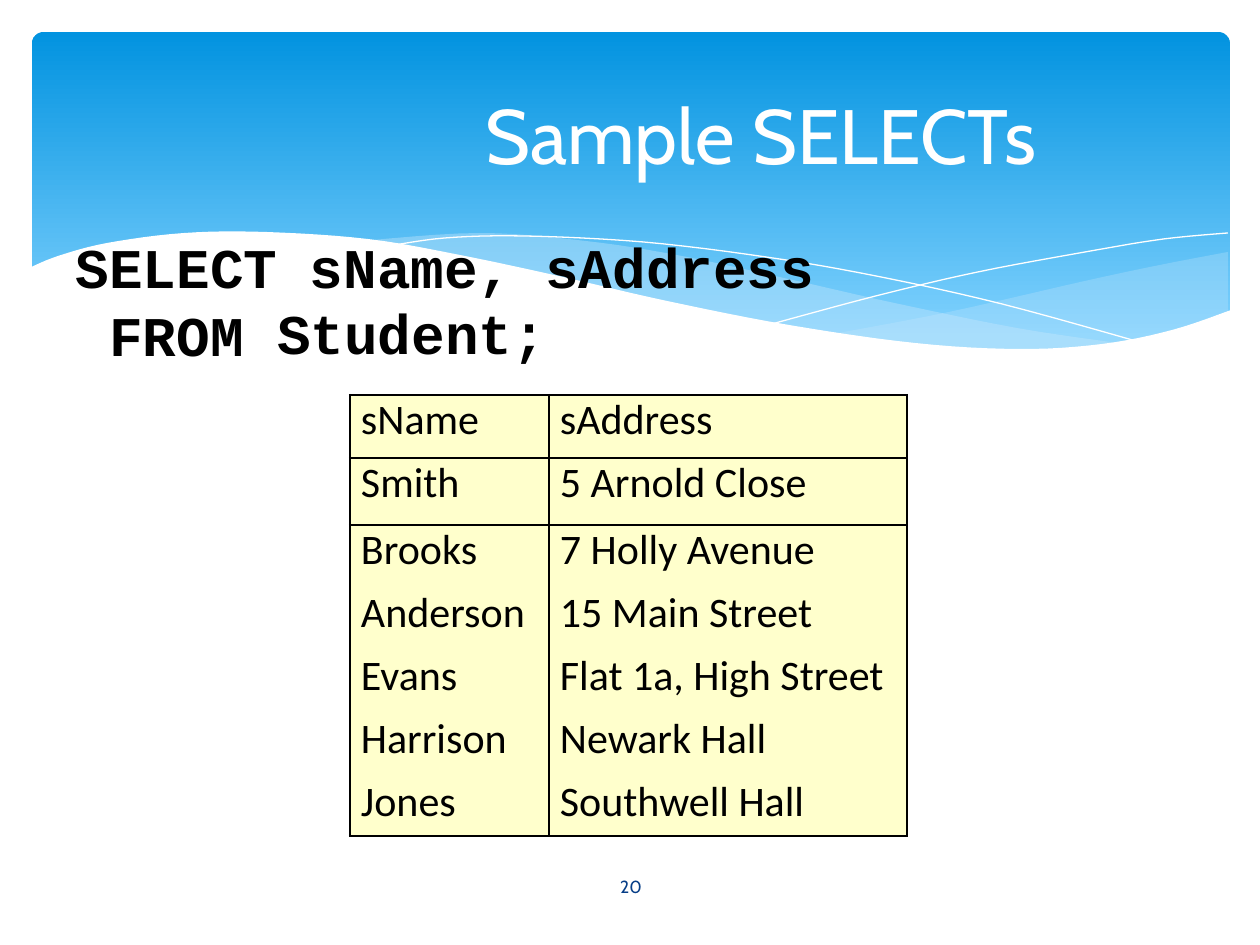
from dataclasses import dataclass

from lxml.etree import SubElement
from pptx import Presentation
from pptx.dml.color import RGBColor
from pptx.enum.shapes import MSO_SHAPE as SHAPE
from pptx.enum.text import MSO_ANCHOR as ANCHOR, PP_ALIGN as ALIGN
from pptx.oxml.ns import qn
from pptx.util import Pt

PX = 914400 / 126


@dataclass(frozen=True)
class Theme:
    sky: str = "0293E0"
    pale_sky: str = "81D2FE"
    mist: str = "C6E7FC"
    white: str = "FFFFFF"
    black: str = "000000"
    cream: str = "FFFFCC"
    navy: str = "073E87"
    display: str = "Cabin"
    body: str = "Calibri"
    code: str = "Courier New"
    title_size: int = 44
    code_size: int = 32
    table_size: int = 24
    number_size: int = 10
    hairline: float = 0.75
    rule: float = 1.5


T = Theme()


def px(*values):
    return [round(v * PX) for v in values]


def rgb(color):
    return RGBColor.from_string(color)


def write(tf, text, font, size, color, bold=False, align=ALIGN.LEFT,
          anchor=ANCHOR.TOP, left=0, top=0):
    """Put text into a frame, one paragraph a line."""
    tf.word_wrap = True
    tf.vertical_anchor = anchor
    tf.margin_left, tf.margin_top, tf.margin_right, tf.margin_bottom = px(left, top, 0, 0)
    for i, line in enumerate(text.split("\n")):
        p = tf.add_paragraph() if i else tf.paragraphs[0]
        p.alignment = align
        r = p.add_run()
        r.text = line
        f = r.font
        f.name, f.size, f.bold = font, Pt(size), bold
        f.color.rgb = rgb(color)


def add_text(s, box, text, **fmt):
    write(s.shapes.add_textbox(*px(*box)).text_frame, text, **fmt)


def curve(points, steps=6):
    """Smooth path through the points (Catmull-Rom)."""
    ends = [points[0], *points, points[-1]]
    path = [points[0]]
    for a, b, c, d in zip(ends, ends[1:], ends[2:], ends[3:]):
        for k in range(1, steps + 1):
            t = k / steps
            path.append(tuple(
                (2 * q + (r - p) * t + (2 * p - 5 * q + 4 * r - u) * t ** 2
                 + (3 * q - p - 3 * r + u) * t ** 3) / 2
                for p, q, r, u in zip(a, b, c, d)))
    return path


def add_path(s, origin, path, fill=None, alpha=None, line=None):
    """Draw an outline whose points are measured from origin."""
    pts = [px(origin[0] + x, origin[1] + y) for x, y in path]
    fb = s.shapes.build_freeform(*pts[0], scale=1.0)
    fb.add_line_segments(pts[1:], close=fill is not None)
    sp = fb.convert_to_shape()
    sp.shadow.inherit = False
    if fill:
        sp.fill.solid()
        sp.fill.fore_color.rgb = rgb(fill)
    else:
        sp.fill.background()
    if alpha:
        clr = sp.fill._xPr.find(qn("a:solidFill"))[0]
        SubElement(clr, qn("a:alpha"), val=str(alpha * 1000))
    if line:
        sp.line.color.rgb = rgb(line)
        sp.line.width = Pt(T.hairline)
    else:
        sp.line.fill.background()


def add_banner(s, box):
    """Gradient panel with waves along its lower edge."""
    sp = s.shapes.add_shape(SHAPE.ROUNDED_RECTANGLE, *px(*box))
    sp.adjustments[0] = 0.034
    sp.shadow.inherit = False
    sp.line.fill.background()
    sp.fill.gradient()
    sp.fill.gradient_angle = 270
    for stop, pos, color in zip(sp.fill.gradient_stops, (0, 0.9), (T.sky, T.pale_sky)):
        stop.position = pos
        stop.color.rgb = rgb(color)

    origin = box[:2]
    # Translucent waves: upper edge, then lower edge
    right_wave = (
        curve([(1196, 220), (1128, 233), (1053, 249), (917, 280), (801, 302)])
        + curve([(801, 302), (890, 313), (980, 318), (1067, 313), (1137, 299), (1196, 279)]))
    middle_wave = (
        curve([(1093, 312), (985, 296), (858, 270), (761, 248), (650, 224),
               (554, 209), (447, 201), (328, 209)])
        + curve([(328, 209), (424, 224), (534, 248), (681, 280), (825, 306),
                 (957, 318), (1093, 312)]))
    add_path(s, origin, right_wave, fill=T.mist, alpha=29)
    add_path(s, origin, middle_wave, fill=T.mist, alpha=40)
    # Fine lines
    falling = [(357, 214), (413, 206), (492, 204), (611, 210), (734, 225),
               (844, 244), (970, 272), (1111, 311)]
    rising = [(740, 292), (844, 264), (946, 240), (1059, 219), (1132, 207), (1196, 201)]
    for points in (falling, rising):
        add_path(s, origin, curve(points), line=T.white)
    # White foreground wave
    crest = [(1199, 278), (1140, 298), (1070, 312), (987, 317), (883, 311), (757, 293),
             (635, 269), (531, 245), (428, 223), (336, 207), (234, 200), (152, 201),
             (75, 211), (26, 224), (-3, 236)]
    add_path(s, origin, curve(crest) + [(-3, 383), (1199, 383)], fill=T.white)


def add_query(s, box):
    """Keywords in one column, operands beside them."""
    x, y, w, h = box
    fmt = dict(font=T.code, size=T.code_size, color=T.black, bold=True, top=12)
    add_text(s, (x + 236, y, w - 236, 73), "sName, sAddress", **fmt)
    add_text(s, (x, y, 205, h), "SELECT\nFROM", align=ALIGN.CENTER, **fmt)
    add_text(s, (x + 203, y + 66, 272, 73), "Student;", **fmt)


def set_border(cell, side, shown):
    tag = qn(f"a:ln{side}")
    ln = SubElement(cell._tc.get_or_add_tcPr(), tag, w=str(Pt(T.rule)))
    if shown:
        SubElement(SubElement(ln, qn("a:solidFill")), qn("a:srgbClr"), val=T.black)
    else:
        SubElement(ln, qn("a:noFill"))


def add_result(s, box, rows, widths, heights):
    """Result table: rules around the first two rows and the whole."""
    tbl = s.shapes.add_table(len(rows), len(widths), *px(*box)).table
    tbl.first_row = tbl.horz_banding = False
    for col, w in zip(tbl.columns, px(*widths)):
        col.width = w
    for row, h in zip(tbl.rows, px(*heights)):
        row.height = h
    last = len(rows) - 1
    for i, values in enumerate(rows):
        for j, value in enumerate(values):
            cell = tbl.cell(i, j)
            shown = {"L": True, "R": True, "T": i <= 2, "B": i <= 1 or i == last}
            for side, on in shown.items():
                set_border(cell, side, on)
            cell.fill.solid()
            cell.fill.fore_color.rgb = rgb(T.cream)
            cell.margin_left, cell.margin_top, cell.margin_right, cell.margin_bottom = px(11, 0, 0, 0)
            p = cell.text_frame.paragraphs[0]
            r = p.add_run()
            r.text = value
            r.font.name, r.font.size = T.body, Pt(T.table_size)
            r.font.color.rgb = rgb(T.black)


prs = Presentation()
prs.slide_width, prs.slide_height = px(1260, 945)
s = prs.slides.add_slide(prs.slide_layouts[6])

add_banner(s, (32, 32, 1198, 340))
add_text(s, (549, 862, 164, 50), "20", font=T.display, size=T.number_size,
         color=T.navy, align=ALIGN.CENTER, anchor=ANCHOR.MIDDLE)
add_text(s, (63, 47, 1134, 173), "Sample SELECTs", font=T.display, size=T.title_size,
         color=T.white, align=ALIGN.CENTER, anchor=ANCHOR.MIDDLE, left=262)
add_query(s, (74, 221, 745, 140))
add_result(s, (350, 395, 557, 441), [
    ("sName", "sAddress"),
    ("Smith", "5 Arnold Close"),
    ("Brooks", "7 Holly Avenue"),
    ("Anderson", "15 Main Street"),
    ("Evans", "Flat 1a, High Street"),
    ("Harrison", "Newark Hall"),
    ("Jones", "Southwell Hall"),
], widths=(199, 358), heights=(63, 67, 63, 63, 63, 63, 59))

prs.save("out.pptx")
